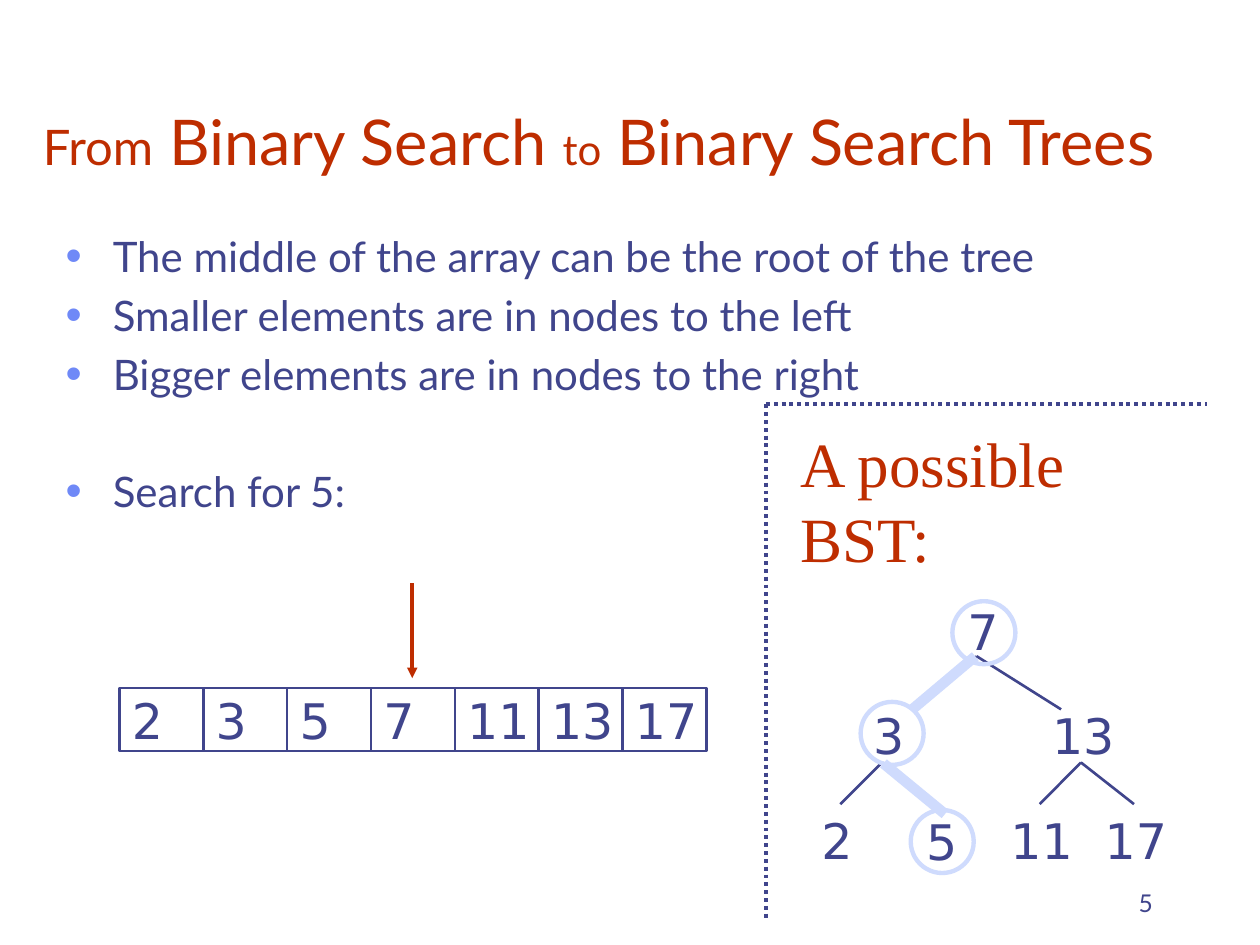
from dataclasses import dataclass

from lxml.etree import SubElement
from pptx import Presentation
from pptx.dml.color import RGBColor
from pptx.enum.dml import MSO_LINE
from pptx.enum.shapes import MSO_CONNECTOR, MSO_SHAPE
from pptx.enum.text import MSO_ANCHOR, MSO_AUTO_SIZE, PP_ALIGN
from pptx.oxml.ns import qn
from pptx.util import Cm, Pt


@dataclass(frozen=True)
class Theme:
    ink: str = "40458C"
    accent: str = "BE2D00"
    bullet: str = "6F89F7"
    highlight: str = "CFDBFD"
    text_font: str = "Lato"
    number_font: str = "DejaVu Sans"
    caption_font: str = "Times New Roman"
    title_size: int = 36
    title_from_size: int = 28
    body_size: int = 24
    number_size: int = 28
    page_size: int = 14


theme = Theme()


def add_run(p, text, font, size, color):
    r = p.add_run()
    r.text = text
    for name, value in {"name": font, "size": Pt(size), "bold": False}.items():
        setattr(r.font, name, value)
    r.font.color.rgb = RGBColor.from_string(color)


def add_line(start, end, color, width, dash=None):
    """Draw a shadowless straight line between two (x, y) points in cm."""
    line = s.shapes.add_connector(MSO_CONNECTOR.STRAIGHT, *map(Cm, start + end))
    line.line.color.rgb = RGBColor.from_string(color)
    line.line.width = Pt(width)
    if dash is not None:
        line.line.dash_style = dash
    SubElement(line._element.spPr, qn("a:effectLst"))
    return line


prs = Presentation()
prs.slide_width, prs.slide_height = Cm(25.4), Cm(19.05)
s = prs.slides.add_slide(prs.slide_layouts[1])

# Title and bullet list
title, body = s.shapes.title, s.placeholders[1]
for sp, box, anchor in [
    (title, (0.61, 0.53, 24.23, 3.18), MSO_ANCHOR.BOTTOM),
    (body, (1.07, 4.52, 23.62, 12.65), MSO_ANCHOR.TOP),
]:
    sp.left, sp.top, sp.width, sp.height = map(Cm, box)
    sp.text_frame.auto_size = MSO_AUTO_SIZE.NONE
    sp.text_frame.vertical_anchor = anchor

p = title.text_frame.paragraphs[0]
p.alignment = PP_ALIGN.LEFT
for text, size in [
    ("From", theme.title_from_size),
    (" Binary Search ", theme.title_size),
    ("to", theme.body_size),
    (" Binary Search Trees", theme.title_size),
]:
    add_run(p, text, theme.text_font, size, theme.accent)

bullets = [
    ("The middle of the array can be the root of the tree", 4.8),
    ("Smaller elements are in nodes to the left", 4.8),
    ("Bigger elements are in nodes to the right", 4.8),
    ("Search for 5:", 38.4),
]
tf = body.text_frame
for i, (text, gap) in enumerate(bullets):
    p = tf.add_paragraph() if i else tf.paragraphs[0]
    p.space_before = Pt(gap)
    add_run(p, text, theme.text_font, theme.body_size, theme.ink)
    pPr = p._p.get_or_add_pPr()
    pPr.set("marL", str(Cm(0.95)))
    pPr.set("indent", str(-Cm(0.95)))
    SubElement(SubElement(pPr, qn("a:buClr")), qn("a:srgbClr"), val=theme.bullet)
    SubElement(pPr, qn("a:buSzPct"), val="110000")
    SubElement(pPr, qn("a:buChar"), char="•")

# Sorted array with an arrow at its middle
cell_width = 1.69
for i, value in enumerate([2, 3, 5, 7, 11, 13, 17]):
    sp = s.shapes.add_shape(
        MSO_SHAPE.FLOWCHART_PROCESS,
        Cm(2.41 + i * cell_width), Cm(13.87), Cm(cell_width), Cm(1.27))
    sp.shadow.inherit = False
    sp.fill.background()
    sp.line.color.rgb = RGBColor.from_string(theme.ink)
    sp.line.width = Pt(1.5)
    tf = sp.text_frame
    tf.word_wrap = False
    tf.vertical_anchor = MSO_ANCHOR.MIDDLE
    tf.paragraphs[0].alignment = PP_ALIGN.LEFT
    add_run(tf.paragraphs[0], str(value), theme.number_font, theme.number_size, theme.ink)

arrow = add_line((8.31, 11.76), (8.31, 13.67), theme.accent, 2)
SubElement(arrow.line._get_or_add_ln(), qn("a:tailEnd"), type="triangle")

# Tree nodes, caption and page number
number = (theme.number_font, theme.number_size, theme.ink)
caption = (theme.caption_font, theme.title_size, theme.accent)
page = (theme.text_font, theme.page_size, theme.ink)
labels = [
    ("7", (19.25, 12.01, 1.47, 1.45), number),
    ("3", (17.35, 14.1, 1.47, 1.45), number),
    ("13", (20.96, 14.1, 1.91, 1.45), number),
    ("2", (16.31, 16.21, 1.47, 1.45), number),
    ("5", (18.42, 16.23, 1.47, 1.45), number),
    ("11", (20.12, 16.21, 1.91, 1.45), number),
    ("17", (22.02, 16.21, 2.11, 1.45), number),
    ("A possible BST:", (15.88, 8.43, 8.46, 3.3), caption),
    ("5", (18.21, 17.35, 5.28, 1.27), page),
]
for text, box, style in labels:
    tf = s.shapes.add_textbox(*map(Cm, box)).text_frame
    tf.word_wrap = True
    p = tf.paragraphs[0]
    add_run(p, text, *style)
    if style is caption:
        p.line_spacing = Pt(43.2)
    elif style is page:
        p.alignment = PP_ALIGN.RIGHT
        tf.vertical_anchor = MSO_ANCHOR.BOTTOM

# Tree edges: each parent point with its two child points
for parent, children in [
    ((19.69, 13.23), [(18.42, 14.3), (21.39, 14.3)]),
    ((17.78, 15.37), [(16.94, 16.21), (18.85, 16.21)]),
    ((21.79, 15.37), [(20.96, 16.21), (22.86, 16.21)]),
]:
    for child in children:
        add_line(parent, child, theme.ink, 1.5)

# Dotted frame around the tree
for end in [(15.44, 18.54), (24.33, 8.15)]:
    add_line((15.44, 8.15), end, theme.ink, 2.25, MSO_LINE.ROUND_DOT)

# Highlighted search path
for x, y in [(19.2, 12.12), (17.35, 14.15), (18.36, 16.33)]:
    ring = s.shapes.add_shape(MSO_SHAPE.OVAL, Cm(x), Cm(y), Cm(1.27), Cm(1.27))
    ring.shadow.inherit = False
    ring.fill.background()
    ring.line.color.rgb = RGBColor.from_string(theme.highlight)
    ring.line.width = Pt(2.5)
for start, end in [((19.66, 13.23), (18.39, 14.3)), ((17.81, 15.39), (19.05, 16.41))]:
    add_line(start, end, theme.highlight, 6)

prs.save("out.pptx")
